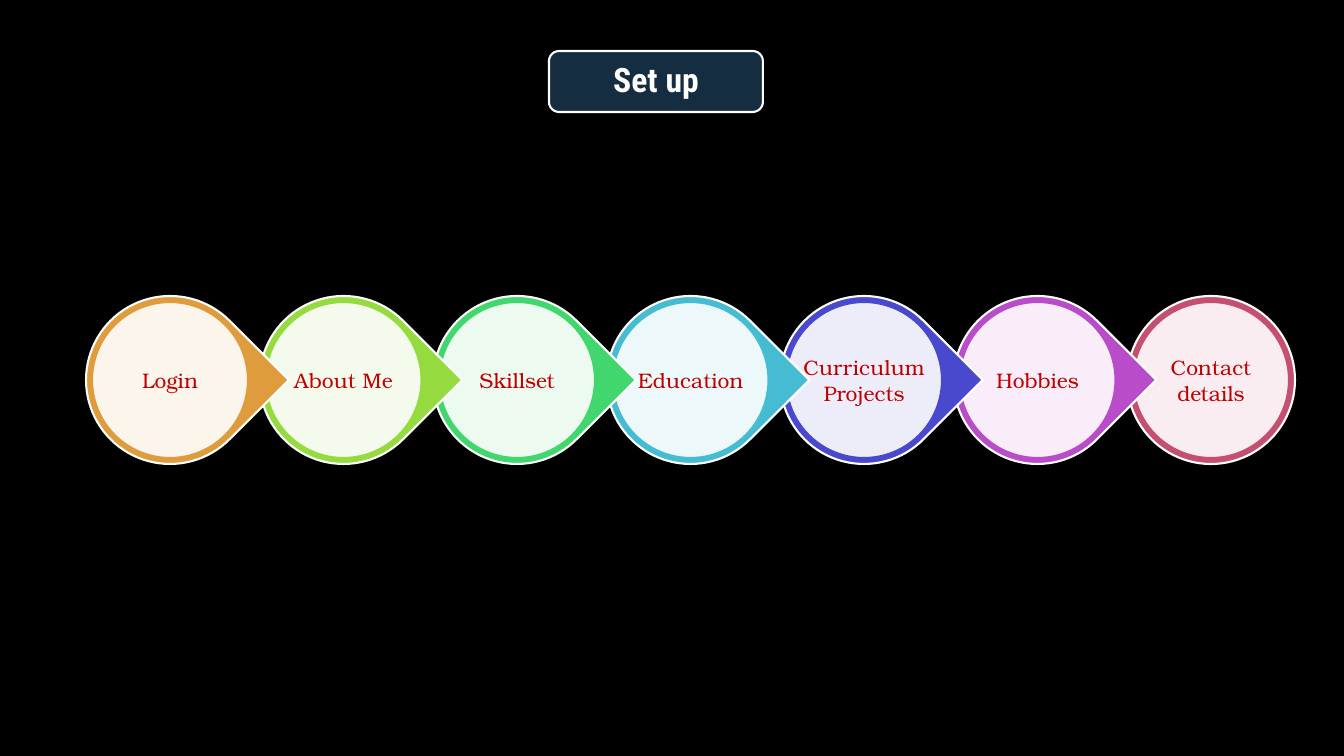
from lxml import etree
from pptx import Presentation
from pptx.dml.color import RGBColor
from pptx.enum import shapes, text
from pptx.oxml.ns import qn
from pptx.util import Emu, Pt

THEME = {
    "background": "000000", "white": "FFFFFF", "badge": "152D40", "label": "C00000",
    "title_font": "Roboto Condensed", "label_font": "TeX Gyre Bonum",
    "title_size": 24, "label_size": 15, "outline": 1.5, "disc_opacity": 90,
}
STEPS = [
    ("Login", "DE9C3C"), ("About Me", "95DA3F"), ("Skillset", "42D66F"),
    ("Education", "45BCD2"), ("Curriculum Projects", "4949CD"),
    ("Hobbies", "B84CC9"), ("Contact details", "C54F71"),
]
PX = 914400 / 100.8  # EMU in one px


def add_outlined(page, kind, bounds, fill, line):
    shape = page.shapes.add_shape(kind, *[Emu(round(n * PX)) for n in bounds])
    shape.shadow.inherit = False
    shape.fill.solid()
    shape.fill.fore_color.rgb = RGBColor.from_string(fill)
    shape.line.color.rgb = RGBColor.from_string(line)
    shape.line.width = Pt(THEME["outline"])
    return shape


def write_text(box, wording, *, font, size, color, bold=False, inset=2, spacing=1.0):
    frame = box.text_frame
    frame.word_wrap = True
    frame.auto_size = text.MSO_AUTO_SIZE.NONE
    frame.vertical_anchor = text.MSO_ANCHOR.MIDDLE
    frame.margin_left = frame.margin_right = Emu(round(inset * PX))
    frame.margin_top = frame.margin_bottom = Emu(round(inset * PX))
    para = frame.paragraphs[0]
    para.alignment = text.PP_ALIGN.CENTER
    para.line_spacing = spacing
    span = para.add_run()
    span.text = wording
    span.font.name = font
    span.font.size = Pt(size)
    span.font.bold = bold
    span.font.color.rgb = RGBColor.from_string(color)


# Slide
deck = Presentation()
deck.slide_width, deck.slide_height = Emu(round(1344 * PX)), Emu(round(756 * PX))
page = deck.slides.add_slide(deck.slide_layouts[5])
page.background.fill.solid()
page.background.fill.fore_color.rgb = RGBColor.from_string(THEME["background"])

# Title on its badge
add_outlined(page, shapes.MSO_SHAPE.ROUNDED_RECTANGLE, (549, 51, 214, 61),
             THEME["badge"], THEME["white"])
title = page.shapes.title
title.left, title.top, title.width, title.height = [
    Emu(round(n * PX)) for n in (552, 54, 208, 55)]
write_text(title, "Set up", font=THEME["title_font"], size=THEME["title_size"],
           color=THEME["white"], bold=True, inset=6, spacing=0.9)
page.shapes._spTree.append(title._element)  # bring in front of the badge

# Chain of steps, last one first so that each tip overlaps the next step
first_left, top, drop_size, ring = 86, 296, 168, 6
chain_span = 1041
disc_size = drop_size - 2 * ring
last = len(STEPS) - 1
for index, (label, color) in reversed(list(enumerate(STEPS))):
    left = first_left + index * chain_span / last
    kind = shapes.MSO_SHAPE.OVAL if index == last else shapes.MSO_SHAPE.TEAR
    drop = add_outlined(page, kind, (left, top, drop_size, drop_size), color, THEME["white"])
    if index < last:
        drop.rotation = 45

    # Translucent disc
    disc_bounds = (left + ring, top + ring, disc_size, disc_size)
    disc = add_outlined(page, shapes.MSO_SHAPE.OVAL, disc_bounds, THEME["white"], color)
    fill_color = disc._element.spPr.find(qn("a:solidFill")).find(qn("a:srgbClr"))
    etree.SubElement(fill_color, qn("a:alpha"), val=str(THEME["disc_opacity"] * 1000))

    # Label, wider than the text area of the disc
    box = page.shapes.add_textbox(*[Emu(round(n * PX)) for n in disc_bounds])
    write_text(box, label, font=THEME["label_font"], size=THEME["label_size"],
               color=THEME["label"])

deck.save("out.pptx")
